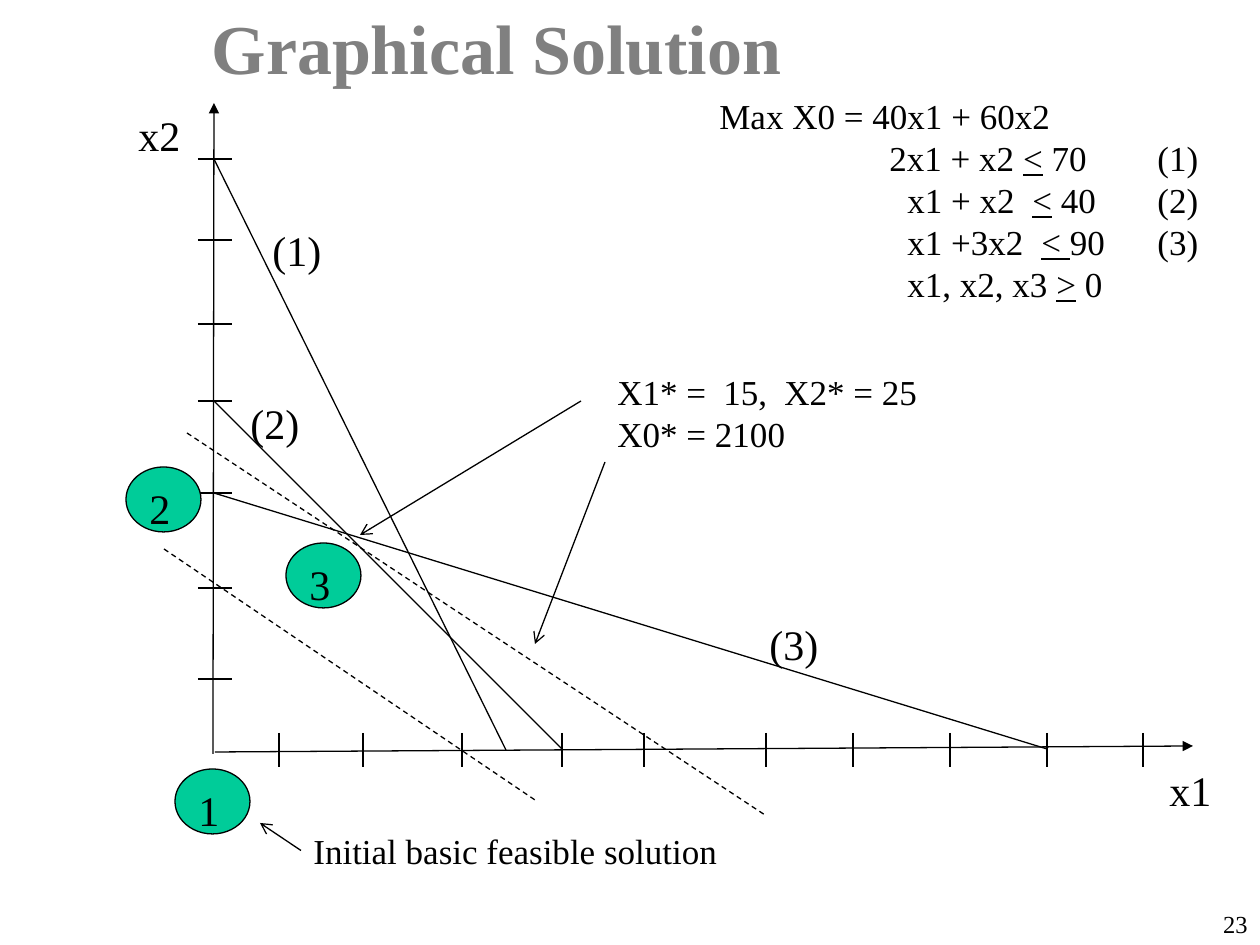
from lxml.etree import SubElement
from pptx import Presentation
from pptx.dml.color import RGBColor
from pptx.enum.dml import MSO_LINE
from pptx.enum.shapes import MSO_CONNECTOR, MSO_SHAPE
from pptx.enum.text import MSO_ANCHOR, MSO_AUTO_SIZE, PP_ALIGN
from pptx.oxml.ns import qn
from pptx.util import Emu, Inches, Pt

SCALE = Inches(1) / 126
BLACK = "000000"
FONT = "Times New Roman"
X_TICKS = (279, 363, 462, 562, 644, 766, 853, 950, 1047, 1143)
Y_TICKS = (679, 588, 493, 401, 324, 240, 159)
CONSTRAINTS = (((214, 159), (506, 750)), ((214, 401), (562, 749)), ((214, 493), (1047, 749)))
OBJECTIVE_LEVELS = (((164, 549), (535, 800)), ((187, 433), (765, 815)))
AXES = (((213, 754), (214, 103)), ((215, 752), (1193, 746)))
POINTERS = (((581, 401), (360, 535)), ((605, 462), (535, 644)))
LABELS = (
    ("x2", (126, 103, 68, 63)),
    ("x1", (1157, 758, 72, 63)),
    ("(1)", (260, 218, 96, 63)),
    ("(2)", (238, 391, 96, 63)),
    ("(3)", (757, 612, 96, 63)),
)
CORNERS = (("1", 175, 769), ("2", 126, 467), ("3", 286, 543))
PROBLEM = (
    ((), ("Max X0 = 40x1 + 60x2",)),
    ((170, 438), ("\t2x1 + x2 ", "<", " 70\t(1)")),
    ((188, 313, 438), ("\tx1 + x2\t", "<", " 40\t(2)")),
    ((188, 322, 438), ("\tx1 +3x2\t", "< ", "90\t(3)")),
    ((188,), ("\tx1, x2, x3 ", ">", " 0")),
)
OPTIMUM = (
    ((106, 167), ("X1* =\t15,\tX2* = 25",)),
    ((), ("X0* = 2100",)),
)


def px(length):
    return Emu(round(length * SCALE))


def rgb(code):
    return RGBColor.from_string(code)


def apply(target, formats):
    for attribute, value in formats.items():
        setattr(target, attribute, value)


def place(box):
    return [px(length) for length in box]


def write(frame, lines, size, color=BLACK, bold=False, align=PP_ALIGN.LEFT):
    for index, (stops, parts) in enumerate(lines):
        paragraph = frame.paragraphs[0] if index == 0 else frame.add_paragraph()
        if stops:
            tabs = SubElement(paragraph._p.get_or_add_pPr(), qn("a:tabLst"))
            for stop in stops:
                SubElement(tabs, qn("a:tab"), pos=str(px(stop)), algn="l")
        apply(paragraph, {"alignment": align, "line_spacing": Pt(1.2 * size), "space_before": Pt(0)})
        for position, part in enumerate(parts):
            run = paragraph.add_run()
            run.text = part
            apply(run.font, {"name": FONT, "size": Pt(size), "bold": bold, "underline": position == 1})
            run.font.color.rgb = rgb(color)


def add_text(slide, lines, box, size, align=PP_ALIGN.LEFT):
    note = slide.shapes.add_textbox(*place(box))
    apply(note.text_frame, {"word_wrap": True, "auto_size": MSO_AUTO_SIZE.SHAPE_TO_FIT_TEXT})
    write(note.text_frame, lines, size, align=align)
    return note


def add_line(slide, start, end, dash=None, arrow=None):
    line = slide.shapes.add_connector(MSO_CONNECTOR.STRAIGHT, *place(start + end))
    apply(line.line, {"width": Pt(0.75), "dash_style": dash})
    line.line.color.rgb = rgb(BLACK)
    if arrow:
        SubElement(line.line._ln, qn("a:tailEnd"), type=arrow)
    SubElement(line._element.spPr, qn("a:effectLst"))
    return line


def add_corner(slide, number, left, top):
    corner = slide.shapes.add_shape(MSO_SHAPE.OVAL, *place((left, top, 75, 65)))
    corner.shadow.inherit = False
    corner.fill.solid()
    corner.fill.fore_color.rgb = rgb("00CC99")
    corner.line.color.rgb = rgb(BLACK)
    corner.line.width = Pt(0.75)
    apply(corner.text_frame, {"vertical_anchor": MSO_ANCHOR.TOP, "word_wrap": True})
    write(corner.text_frame, [((), (number,))], 24)


def set_title(slide, text):
    title = slide.shapes.title
    apply(title, dict(zip(("left", "top", "width", "height"), place((199, 10, 1061, 73)))))
    apply(title.text_frame, {
        "auto_size": MSO_AUTO_SIZE.NONE,
        "vertical_anchor": MSO_ANCHOR.MIDDLE,
        "word_wrap": True,
    })
    write(title.text_frame, [((), (text,))], 40, "808080", bold=True)


def draw_graph(slide):
    for start, end in AXES:
        add_line(slide, start, end, arrow="triangle")
    for x in X_TICKS:
        add_line(slide, (x, 733), (x, 767))
    for y in Y_TICKS:
        add_line(slide, (198, y), (232, y))
    for start, end in CONSTRAINTS:
        add_line(slide, start, end)
    for start, end in OBJECTIVE_LEVELS:
        add_line(slide, start, end, dash=MSO_LINE.DASH)
    for start, end in POINTERS:
        add_line(slide, start, end, arrow="arrow")


def main():
    deck = Presentation()
    apply(deck, {"slide_width": Inches(10), "slide_height": Inches(7.5)})
    slide = deck.slides.add_slide(deck.slide_layouts[5])
    set_title(slide, "Graphical Solution")
    draw_graph(slide)
    add_text(slide, PROBLEM, (707, 88, 539, 223), 20)
    add_text(slide, OPTIMUM, (605, 364, 403, 97), 20)
    for label, box in LABELS:
        add_text(slide, [((), (label,))], box, 24)
    for corner in CORNERS:
        add_corner(slide, *corner)
    start_note = add_text(slide, [((), ("Initial basic feasible solution",))], (301, 823, 669, 55), 20)
    start_pointer = add_line(slide, (301, 850), (260, 823), arrow="arrow")
    start_pointer.begin_connect(start_note, 1)
    add_text(slide, [((), ("23",))], (1081, 903, 179, 42), 14, PP_ALIGN.RIGHT)
    deck.save("out.pptx")


if __name__ == "__main__":
    main()
